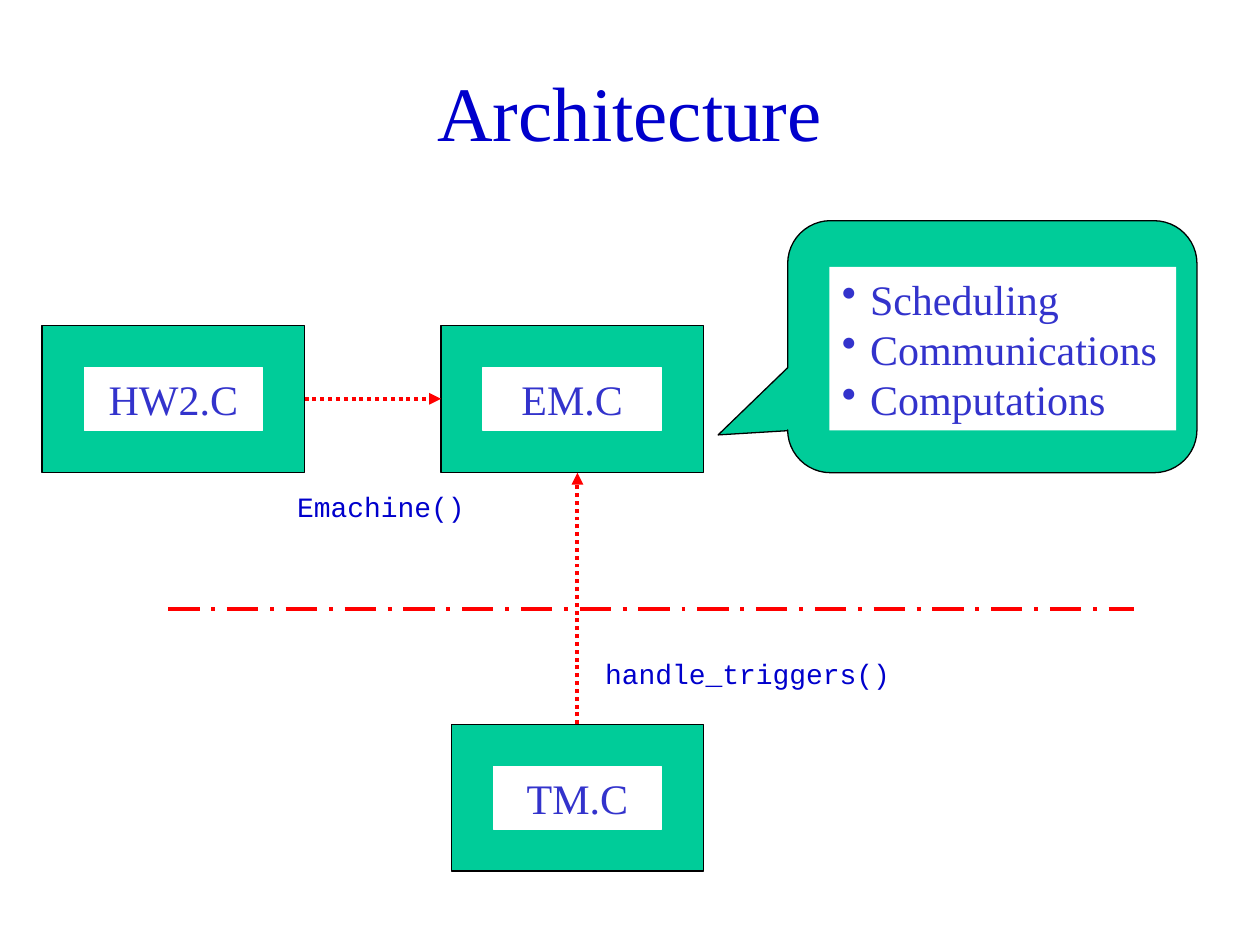
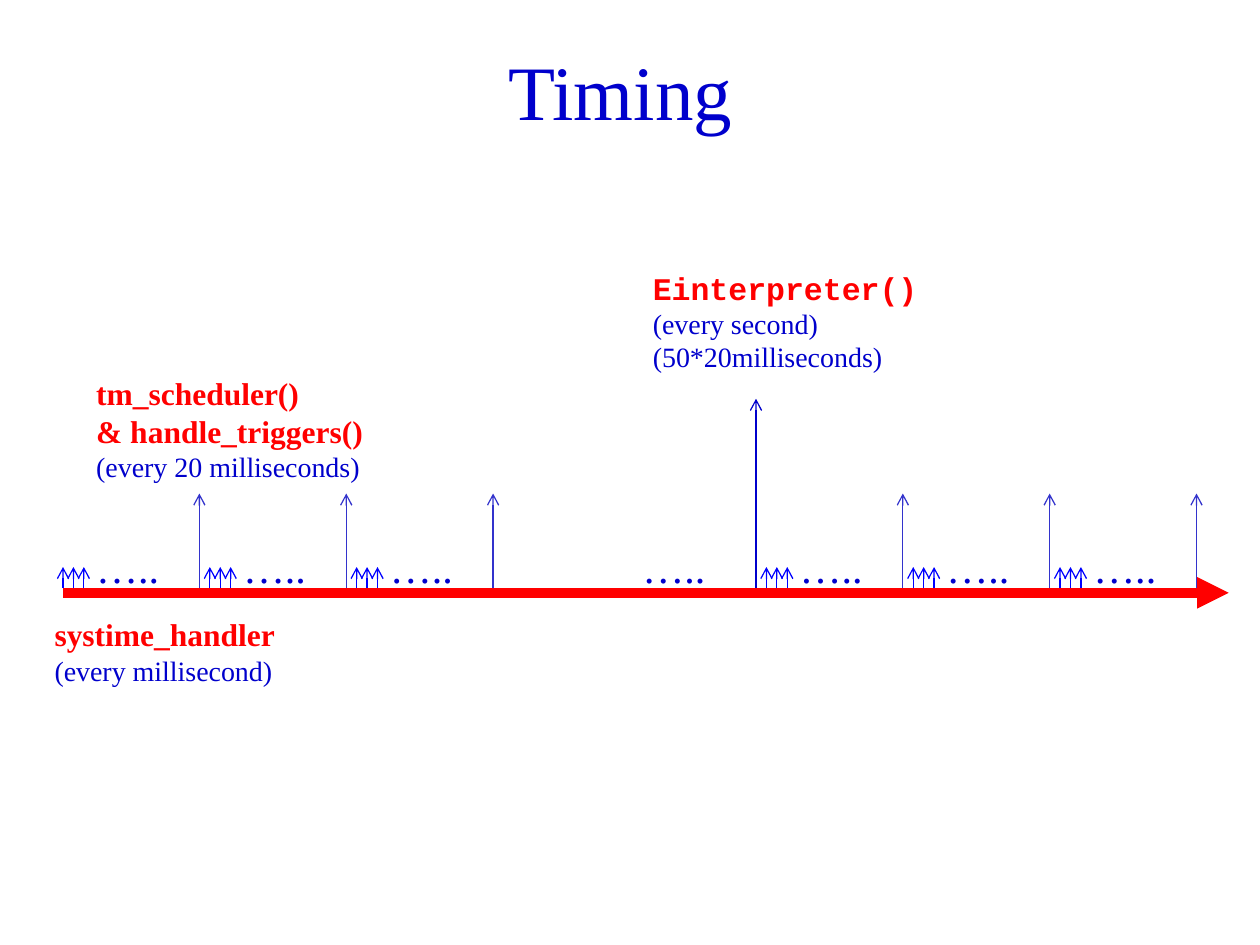
from pptx import Presentation
from pptx.dml.color import RGBColor
from pptx.enum.dml import MSO_LINE
from pptx.enum.shapes import MSO_CONNECTOR, MSO_SHAPE
from pptx.enum.text import MSO_ANCHOR, MSO_AUTO_SIZE, PP_ALIGN
from pptx.oxml.ns import qn
from pptx.util import Cm, Pt
from lxml.etree import SubElement

NAVY = RGBColor(0x00, 0x00, 0xCC)
INDIGO = RGBColor(0x33, 0x33, 0xCC)
BLUE = RGBColor(0x00, 0x00, 0xFF)
RED = RGBColor(0xFF, 0x00, 0x00)
GREEN = RGBColor(0x00, 0xCC, 0x99)
WHITE = RGBColor(0xFF, 0xFF, 0xFF)
BLACK = RGBColor(0x00, 0x00, 0x00)
SERIF = "Times New Roman"
MONO = "Courier New"


def add_text(page, place, lines, align=PP_ALIGN.LEFT, wrap=True, bullets=False):
    """Each line is (text, size, colour, font, bold)."""
    box = page.shapes.add_textbox(*map(Cm, place))
    frame = box.text_frame
    frame.word_wrap = wrap
    frame.auto_size = MSO_AUTO_SIZE.SHAPE_TO_FIT_TEXT
    for number, (text, size, colour, font, bold) in enumerate(lines):
        para = frame.add_paragraph() if number else frame.paragraphs[0]
        para.text = text
        para.alignment = align
        if bullets:
            properties = para._p.get_or_add_pPr()
            properties.set("marL", str(Cm(0.57)))
            properties.set("indent", str(Cm(-0.57)))
            SubElement(properties, qn("a:buChar")).set("char", "•")
        para.font.size = Pt(size)
        para.font.color.rgb = colour
        para.font.name = font
        para.font.bold = bold
    return box


def add_line(page, start, end, colour, width=0.75, dash=None, arrow=None):
    line = page.shapes.add_connector(MSO_CONNECTOR.STRAIGHT, *map(Cm, start + end))
    line.line.color.rgb = colour
    line.line.width = Pt(width)
    if dash:
        line.line.dash_style = dash
    if arrow:
        SubElement(line.line._get_or_add_ln(), qn("a:tailEnd")).set("type", arrow)
    SubElement(line._element.spPr, qn("a:effectLst"))


deck = Presentation()
deck.slide_width, deck.slide_height = Cm(25.4), Cm(19.05)

# Slides and their titles
pages = []
for title, top, height in [("Architecture", 1.06, 2.33), ("Timing ", 0.85, 1.9)]:
    page = deck.slides.add_slide(deck.slide_layouts[6])
    box = add_text(page, (1.9, top, 21.6, height),
                   [(title, 44, NAVY, SERIF, False)], PP_ALIGN.CENTER)
    box.text_frame.auto_size = MSO_AUTO_SIZE.NONE
    box.text_frame.vertical_anchor = MSO_ANCHOR.MIDDLE
    pages.append(page)
architecture, timing = pages

# Architecture: divider between the layers
add_line(architecture, (3.39, 12.28), (22.86, 12.28), RED, 2.25,
         MSO_LINE.LONG_DASH_DOT)

# Architecture: green modules and the callout
modules = [
    (MSO_SHAPE.RECTANGLE, (0.85, 6.56, 5.29, 2.96)),
    (MSO_SHAPE.RECTANGLE, (8.89, 6.56, 5.29, 2.96)),
    (MSO_SHAPE.RECTANGLE, (9.1, 14.6, 5.08, 2.96)),
    (MSO_SHAPE.ROUNDED_RECTANGULAR_CALLOUT, (15.88, 4.45, 8.25, 5.08)),
]
for kind, place in modules:
    module = architecture.shapes.add_shape(kind, *map(Cm, place))
    module.shadow.inherit = False
    module.fill.solid()
    module.fill.fore_color.rgb = GREEN
    module.line.color.rgb = BLACK
    module.line.width = Pt(0.75)
for index, value in enumerate([-0.67, 0.35, 0.17]):
    module.adjustments[index] = value

# Architecture: white labels inside the modules
for name, (kind, (left, top, width, height)) in zip(["HW2.C", "EM.C", "TM.C"], modules):
    label = add_text(architecture, (left + 0.85, top + 0.85, width - 1.7, 1.27),
                     [(name, 24, INDIGO, SERIF, False)], PP_ALIGN.CENTER)
    label.fill.solid()
    label.fill.fore_color.rgb = WHITE
    label.line.color.rgb = WHITE
    label.line.width = Pt(0.75)
tasks = add_text(architecture, (16.72, 5.38, 6.99, 3.3),
                 [(task, 24, INDIGO, SERIF, False)
                  for task in ["Scheduling", "Communications", "Computations"]],
                 bullets=True)
tasks.fill.solid()
tasks.fill.fore_color.rgb = WHITE

# Architecture: calls between modules
for start, end in [((11.64, 14.6), (11.64, 9.53)), ((6.14, 8.04), (8.89, 8.04))]:
    add_line(architecture, start, end, RED, 2.25, MSO_LINE.ROUND_DOT, "triangle")
for call, place in [("Emachine()", (5.74, 9.74, 3.89, 0.94)),
                    ("handle_triggers()", (11.95, 13.12, 6.25, 0.94))]:
    add_text(architecture, place, [(call, 16, NAVY, MONO, False)], wrap=False)

# Timing: time axis
add_line(timing, (1.27, 11.95), (24.77, 11.95), RED, 6, arrow="triangle")

# Timing: three ticks, dots and a tall arrow in every period
AXIS_TOP, TICK_STEP, PERIOD = 11.85, 0.21, 2.96
dots_left = [12.7]
for first in (1.27, 15.45):
    for number in range(3):
        start = first + number * PERIOD
        for tick in range(3):
            x = start + tick * TICK_STEP
            add_line(timing, (x, AXIS_TOP), (x, 11.43), BLUE, arrow="arrow")
        dots_left.append(start + 2 * TICK_STEP)
        x = start + 2.75
        add_line(timing, (x, AXIS_TOP), (x, 9.95), INDIGO, arrow="arrow")
add_line(timing, (15.24, AXIS_TOP), (15.24, 8.04), NAVY, arrow="arrow")
for left in dots_left:
    add_text(timing, (left, 10.8, 2.33, 1.27), [("…..", 24, NAVY, SERIF, False)])

# Timing: handlers and how often they run
handlers = [
    ((0.85, 12.28, 5.72, 1.7), SERIF, ["systime_handler"], ["(every millisecond)"]),
    ((1.69, 7.41, 5.93, 2.46), SERIF, ["tm_scheduler()", "& handle_triggers()"],
     ["(every 20 milliseconds)"]),
    ((12.91, 5.29, 6.56, 2.39), MONO, ["Einterpreter()"],
     ["(every second)", "(50*20milliseconds)"]),
]
for place, font, names, rates in handlers:
    add_text(timing, place,
             [(name, 18, RED, font, True) for name in names]
             + [(rate, 16, NAVY, SERIF, False) for rate in rates])

deck.save("out.pptx")
